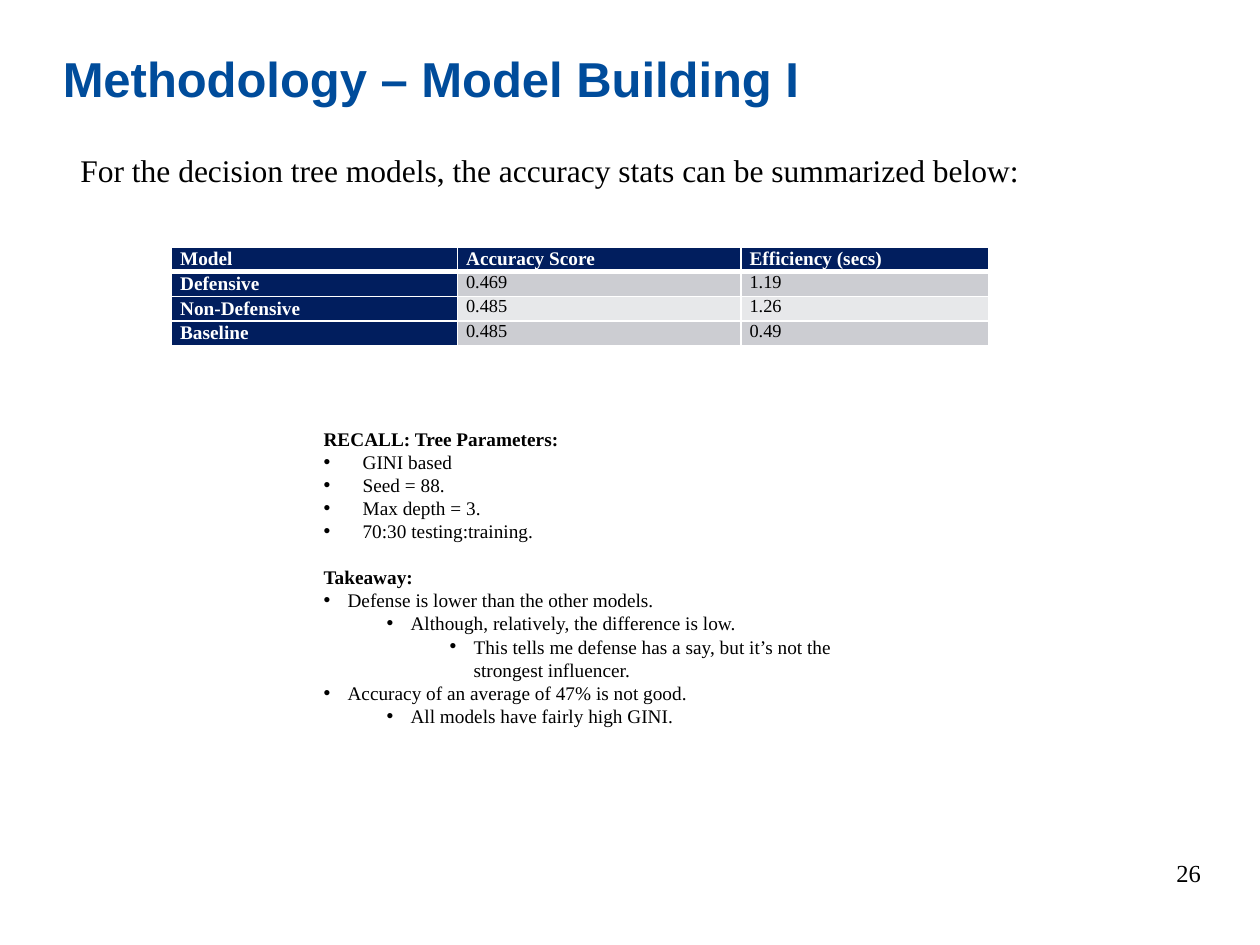
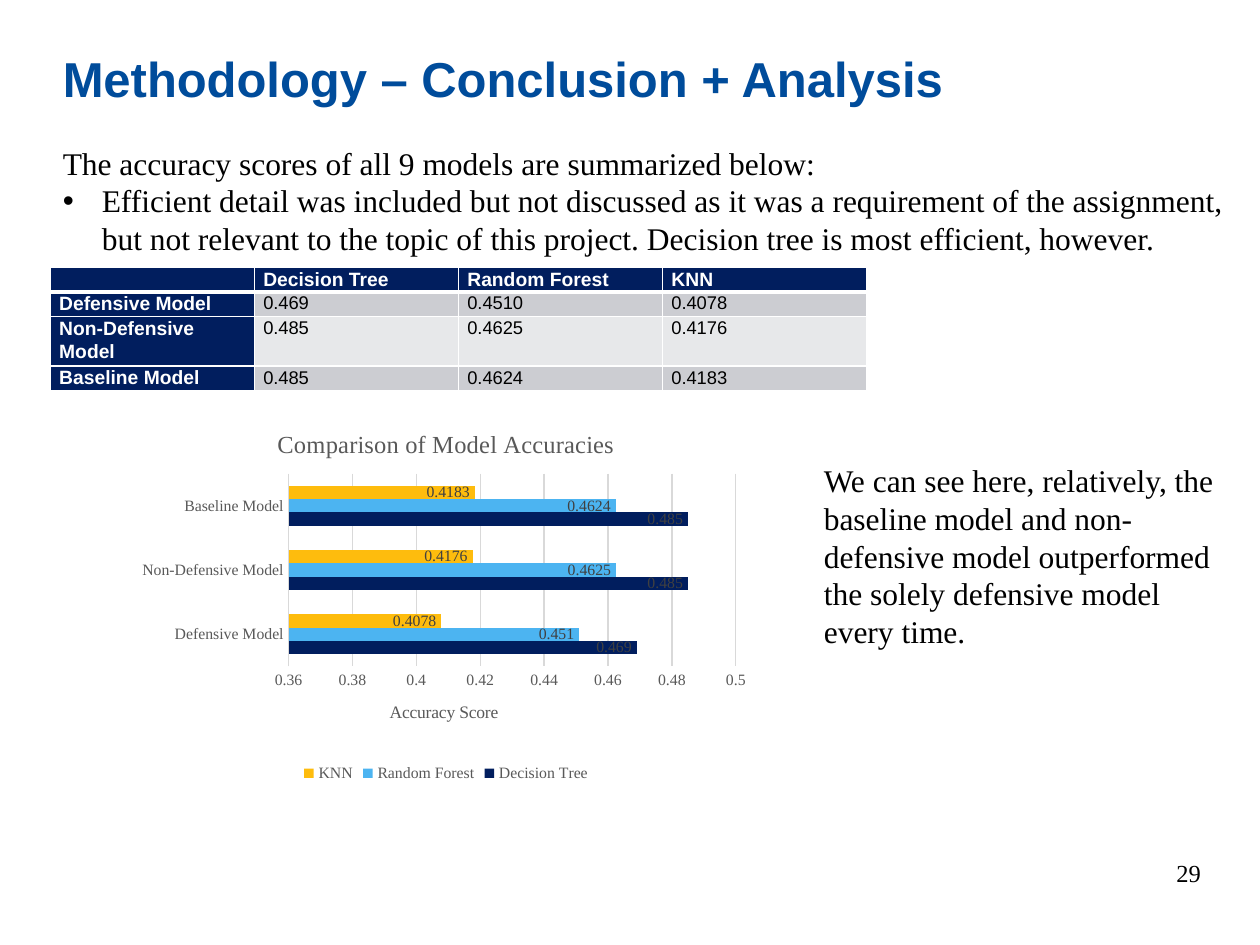
from lxml.etree import SubElement
from pptx import Presentation
from pptx.chart.data import CategoryChartData
from pptx.dml.color import RGBColor
from pptx.enum.chart import XL_CHART_TYPE, XL_LABEL_POSITION, XL_LEGEND_POSITION, XL_TICK_MARK
from pptx.enum.text import MSO_ANCHOR, PP_ALIGN
from pptx.oxml import parse_xml
from pptx.oxml.ns import nsdecls, qn
from pptx.util import Inches, Pt

TITLE_BLUE = RGBColor(0x00, 0x4C, 0x9B)
NAVY = RGBColor(0x01, 0x1E, 0x5E)
SKY = RGBColor(0x4C, 0xB4, 0xF1)
GOLD = RGBColor(0xFE, 0xBC, 0x0D)
BAND_DARK = RGBColor(0xCC, 0xCD, 0xD2)
BAND_LIGHT = RGBColor(0xE7, 0xE8, 0xEA)
WHITE = RGBColor(0xFF, 0xFF, 0xFF)
BLACK = RGBColor(0x00, 0x00, 0x00)
CHART_GREY = RGBColor(0x59, 0x59, 0x59)
LABEL_GREY = RGBColor(0x40, 0x40, 0x40)
GRID_GREY = RGBColor(0xD9, 0xD9, 0xD9)

SERIF = "Times New Roman"
SANS = "Arial"
ROW_HEIGHT = 0.19
WIDE_INDENT = 0.31
NARROW_INDENT = 0.19


def style_font(font, size, color=BLACK, name=SERIF, bold=False):
    font.size = Pt(size)
    font.name = name
    font.bold = bold
    font.color.rgb = color


# Text
def add_bullet(para, hanging, level=0):
    para.level = level
    properties = para._p.get_or_add_pPr()
    properties.set("marL", str(Inches(hanging + 0.5 * level)))
    properties.set("indent", str(-Inches(hanging)))
    SubElement(properties, qn("a:buFont")).set("typeface", SANS)
    SubElement(properties, qn("a:buChar")).set("char", "•")


def add_text(page, left, top, width, height, lines, size):
    """Each line is (text, bullet indent or None, level, bold)."""
    box = page.shapes.add_textbox(Inches(left), Inches(top), Inches(width), Inches(height))
    frame = box.text_frame
    frame.word_wrap = True
    for index, (text, hanging, level, bold) in enumerate(lines):
        para = frame.add_paragraph() if index else frame.paragraphs[0]
        para.text = text
        if hanging:
            add_bullet(para, hanging, level)
        style_font(para.font, size, bold=bold)
    return frame


def plain(text):
    return (text, None, 0, False)


def heading(text):
    return (text, None, 0, True)


def bullet(text, hanging=NARROW_INDENT, level=0):
    return (text, hanging, level, False)


def add_page(deck, title, number):
    page = deck.slides.add_slide(deck.slide_layouts[6])
    frame = add_text(page, 0.4, 0.43, 9.24, 1.17, [plain(title)], 28)
    para = frame.paragraphs[0]
    para.line_spacing = Pt(26.6)
    style_font(para.font, 28, TITLE_BLUE, SANS, True)

    frame = add_text(page, 8.91, 6.73, 0.72, 0.4, [plain(str(number))], 14)
    frame.vertical_anchor = MSO_ANCHOR.MIDDLE
    frame.paragraphs[0].alignment = PP_ALIGN.RIGHT
    return page


# Table
def set_borders(cell, is_header):
    properties = cell._tc.get_or_add_tcPr()
    for index, side in enumerate(("lnL", "lnR", "lnT", "lnB")):
        width = Pt(3 if is_header and side == "lnB" else 1)
        properties.insert(index, parse_xml(
            f'<a:{side} {nsdecls("a")} w="{width}"><a:solidFill>'
            f'<a:srgbClr val="{WHITE}"/></a:solidFill></a:{side}>'))


def fill_cell(cell, text, row, column, font_name, value_spacing):
    is_label = row == 0 or column == 0
    cell.margin_left = cell.margin_right = Inches(0.07)
    cell.margin_top = cell.margin_bottom = 0
    cell.fill.solid()
    cell.fill.fore_color.rgb = NAVY if is_label else BAND_DARK if row % 2 else BAND_LIGHT
    set_borders(cell, row == 0)
    para = cell.text_frame.paragraphs[0]
    para.line_spacing = 1.07 if is_label else value_spacing
    if text:
        para.text = text
    else:
        SubElement(para._p, qn("a:endParaRPr")).set("sz", "1100")
    style_font(para.font, 11 if is_label else 10.5, WHITE if is_label else BLACK,
               font_name, is_label)


def add_score_table(page, left, top, widths, rows, font_name, value_spacing):
    frame = page.shapes.add_table(len(rows), len(widths), Inches(left), Inches(top),
                                  Inches(sum(widths)), Inches(ROW_HEIGHT * len(rows)))
    table = frame.table
    for column, width in zip(table.columns, widths):
        column.width = Inches(width)
    for row, texts in enumerate(rows):
        table.rows[row].height = Inches(ROW_HEIGHT)
        for column, text in enumerate(texts):
            fill_cell(table.cell(row, column), text, row, column, font_name, value_spacing)


# Chart
def set_title(titled, text, size):
    titled.has_title = True
    frame = (titled.chart_title if hasattr(titled, "chart_title") else titled.axis_title).text_frame
    frame.text = text
    style_font(frame.paragraphs[0].font, size, CHART_GREY)


def place_plot(chart, x, y, width, height):
    area = chart._chartSpace.chart.plotArea
    for layout in area.findall(qn("c:layout")):
        area.remove(layout)
    sizes = "".join(f'<c:{tag} val="{value}"/>'
                    for tag, value in (("x", x), ("y", y), ("w", width), ("h", height)))
    area.insert(0, parse_xml(
        f'<c:layout {nsdecls("c")}><c:manualLayout><c:layoutTarget val="inner"/>'
        f'<c:xMode val="edge"/><c:yMode val="edge"/>{sizes}</c:manualLayout></c:layout>'))


def style_axes(chart):
    for axis in (chart.category_axis, chart.value_axis):
        axis.major_tick_mark = axis.minor_tick_mark = XL_TICK_MARK.NONE
        style_font(axis.tick_labels.font, 9, CHART_GREY)
    category_line = chart.category_axis.format.line
    chart.value_axis.has_major_gridlines = True
    grid_line = chart.value_axis.major_gridlines.format.line
    for line in (category_line, grid_line):
        line.color.rgb = GRID_GREY
        line.width = Pt(0.75)
    scores = chart.value_axis
    scores.minimum_scale, scores.maximum_scale, scores.major_unit = 0.36, 0.5, 0.02
    scores.format.line.fill.background()
    set_title(scores, "Accuracy Score", 10)


def add_accuracy_chart(page, categories, series_values):
    data = CategoryChartData()
    data.categories = categories
    for name, values, _ in series_values:
        data.add_series(name, values)
    chart = page.shapes.add_chart(XL_CHART_TYPE.BAR_CLUSTERED, Inches(1.04), Inches(3.25),
                                  Inches(5), Inches(3), data).chart
    style_font(chart.font, 10)
    set_title(chart, "Comparison of Model Accuracies", 14)
    place_plot(chart, 0.25, 0.17, 0.71, 0.51)
    style_axes(chart)
    chart.has_legend = True
    chart.legend.position = XL_LEGEND_POSITION.BOTTOM
    chart.legend.include_in_layout = False
    style_font(chart.legend.font, 9, CHART_GREY)

    plot = chart.plots[0]
    plot.gap_width = 182
    plot.overlap = 0
    plot.vary_by_categories = False
    for series, (_, _, color) in zip(plot.series, series_values):
        series.format.fill.solid()
        series.format.fill.fore_color.rgb = color
        labels = series.data_labels
        labels.show_value = True
        labels.position = XL_LABEL_POSITION.INSIDE_END
        style_font(labels.font, 9, LABEL_GREY)


# Slides
def build_model_page(deck):
    page = add_page(deck, "Methodology – Model Building I", 26)
    parameters = ["GINI based", "Seed = 88.", "Max depth = 3.", "70:30 testing:training."]
    lines = [heading("RECALL: Tree Parameters:")]
    lines += [bullet(text, WIDE_INDENT) for text in parameters]
    takeaway = len(lines)
    lines += [
        heading("Takeaway:"),
        bullet("Defense is lower than the other models."),
        bullet("Although, relatively, the difference is low.", level=1),
        bullet("This tells me defense has a say, but it’s not the strongest influencer.", level=2),
        bullet("Accuracy of an average of 47% is not good."),
        bullet("All models have fairly high GINI.", level=1),
    ]
    frame = add_text(page, 2.47, 3.34, 4.27, 2.51, lines, 11)
    frame.paragraphs[takeaway].space_before = Pt(13)
    add_text(page, 0.54, 1.15, 7.66, 0.4, [plain(
        "For the decision tree models, the accuracy stats can be summarized below:")], 18)
    rows = [
        ("Model", "Accuracy Score", "Efficiency (secs)"),
        ("Defensive", "0.469", "1.19"),
        ("Non-Defensive", "0.485", "1.26"),
        ("Baseline", "0.485", "0.49"),
    ]
    add_score_table(page, 1.36, 1.96, (2.27, 2.25, 1.97), rows, SERIF, 1.0)


def build_conclusion_page(deck):
    page = add_page(deck, "Methodology – Conclusion + Analysis", 29)
    add_text(page, 0.4, 1.09, 9.47, 1.01, [
        plain("The accuracy scores of all 9 models are summarized below:"),
        bullet("Efficient detail was included but not discussed as it was a requirement of the "
               "assignment, but not relevant to the topic of this project. Decision tree is most "
               "efficient, however.", WIDE_INDENT),
    ], 18)
    rows = [
        ("", "Decision Tree", "Random Forest", "KNN"),
        ("Defensive Model", "0.469", "0.4510", "0.4078"),
        ("Non-Defensive Model", "0.485", "0.4625", "0.4176"),
        ("Baseline Model", "0.485", "0.4624", "0.4183"),
    ]
    add_score_table(page, 0.4, 2.12, [1.62] * 4, rows, SANS, 1.07)

    models, *scores = zip(*rows[1:])
    series_values = [(name, [float(score) for score in column], color)
                     for name, column, color in zip(rows[0][1:], scores, (NAVY, SKY, GOLD))]
    add_accuracy_chart(page, models, series_values)
    add_text(page, 6.44, 3.61, 3.43, 1.62, [plain(
        "We can see here, relatively, the baseline model and non-defensive model "
        "outperformed the solely defensive model every time.")], 18)


def main():
    deck = Presentation()
    deck.slide_width, deck.slide_height = Inches(10), Inches(7.5)
    build_model_page(deck)
    build_conclusion_page(deck)
    deck.save("out.pptx")


if __name__ == "__main__":
    main()
